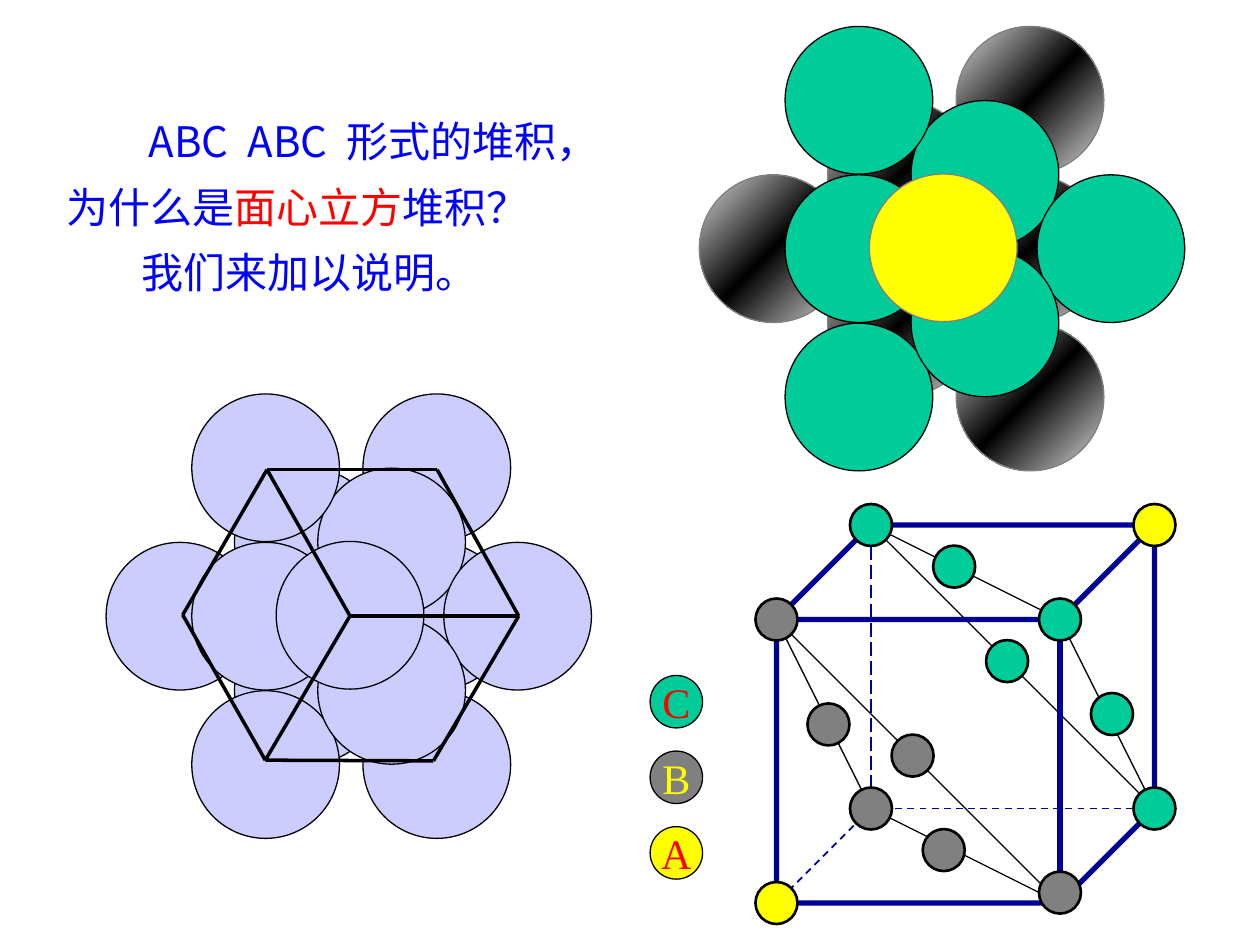
from copy import deepcopy

from pptx import Presentation
from pptx.dml.color import RGBColor
from pptx.enum.dml import MSO_LINE as Dash
from pptx.enum.shapes import MSO_CONNECTOR as Link, MSO_SHAPE as Form
from pptx.enum.text import MSO_ANCHOR as Anchor, PP_ALIGN as Align
from pptx.oxml.ns import qn
from pptx.util import Pt
from lxml.etree import SubElement

# Content
GREEN, YELLOW, GREY, LILAC = "00CC99", "FFFF00", "808080", "CCCCFF"
BLACK, RED, BLUE, NAVY = "000000", "FF0000", "0000FF", "000099"
STRIPE = ("E0E0E0", BLACK, "E0E0E0")
CJK, SERIF = "Noto Sans CJK SC", "Times New Roman"

question = [  # first-line indent, runs
    (47, [("ABC  ABC  形式的堆积，为什么是", BLUE), ("面心立方", RED), ("堆积？", BLUE)]),
    (43, [("我们来加以说明。", BLUE)]),
]
legend = [("C", GREEN, RED), ("B", GREY, YELLOW), ("A", YELLOW, RED)]

# Packed layers as (column, row) on a triangular grid
back_layer = [(1, 3), (1, 1), (2, 2), (2, 4), (2, 0), (0, 2)]
front_layer = [(1, 1), (0, 4), (0, 2), (2, 2), (1, 3), (0, 0)]

# Cube outline over the lower packing, in points
outline = {
    "top left": (152.6, 268.4), "top right": (249.8, 268.4),
    "left": (104.4, 351.4), "centre": (200, 352), "right": (296.4, 352),
    "bottom left": (151.6, 434.4), "bottom right": (247.7, 434.8),
}
outline_edges = [
    ("top left", "left"), ("top right", "right"), ("left", "bottom left"),
    ("right", "bottom right"), ("bottom left", "bottom right"),
    ("top left", "centre"), ("centre", "bottom left"),
    ("top left", "top right"), ("centre", "right"),
]

# Unit cell, in quarters of the cube's size
c_plane = [(4, 3), (1, 0), (3, 1)]
b_plane = [(0, 1), (3, 4), (1, 3)]
hidden_edges = [((1, 0), Dash.LONG_DASH), ((0, 4), Dash.DASH), ((4, 3), Dash.DASH)]
hidden_corner = (1, 3)
atoms = [
    (GREY, [(0, 1), (0.55, 2.11), (1, 3), (1.77, 3.44), (3, 3.89), (1.44, 2.44)]),
    (GREEN, [(1, 0), (1.88, 0.44), (3.55, 2), (4, 3), (2.44, 1.44), (3, 1)]),
    (YELLOW, [(0, 4), (4, 0)]),
]

# Sizes and places
SPHERE, ROW, BACK_COLUMN, FRONT_COLUMN = 84.4, 42.4, 73.4, 72
BACK_AT, FRONT_AT = (399.6, 15.1), (448.6, 15.1)
BOTTOM_AT, TOP_AT = (498.2, 100), (496.8, 99.4)
LOWER_SHIFT = (-339, 210)
CELL_X, CELL_Y, QUARTER, ATOM = 443.7, 300, 54, 24
LEGEND_X, LEGEND_Y, LEGEND_STEP, LEGEND_SIZE = 371.5, 386, 43.2, 30


def rgb(code):
    return RGBColor.from_string(code)


def outlined(shape, color, width):
    shape.shadow.inherit = False
    shape.line.color.rgb = rgb(color)
    shape.line.width = Pt(width)


def circle(holder, x, y, size, fill, line=BLACK, width=0.75):
    disc = holder.add_shape(Form.OVAL, Pt(x), Pt(y), Pt(size), Pt(size))
    outlined(disc, line, width)
    if isinstance(fill, tuple):
        disc.fill.gradient()
        disc.fill.gradient_angle = 315
        stop_list = disc.fill._fill._gradFill.gsLst
        stop_list.insert(1, deepcopy(stop_list[0]))
        for place, (stop, color) in enumerate(zip(disc.fill.gradient_stops, fill)):
            stop.position = place / 2
            stop.color.rgb = rgb(color)
    else:
        disc.fill.solid()
        disc.fill.fore_color.rgb = rgb(fill)
    return disc


def segment(holder, start, end, color, width, dash=None):
    edge = holder.add_connector(Link.STRAIGHT, *(Pt(v) for v in (*start, *end)))
    edge.line.color.rgb = rgb(color)
    edge.line.width = Pt(width)
    if dash:
        edge.line.dash_style = dash
    SubElement(edge._element.spPr, qn("a:effectLst"))


def layer(holder, places, at, column_step, fill, line=BLACK):
    for column, row in places:
        circle(holder, at[0] + column * column_step, at[1] + row * ROW, SPHERE, fill, line)


def shifted(at):
    return at[0] + LOWER_SHIFT[0], at[1] + LOWER_SHIFT[1]


def cell_point(place):
    return CELL_X + place[0] * QUARTER, CELL_Y + place[1] * QUARTER


def plane(holder, corners):
    for start, end in zip(corners, corners[1:] + corners[:1]):
        segment(holder, cell_point(start), cell_point(end), BLACK, 0.75)


deck = Presentation()
deck.slide_width, deck.slide_height = Pt(720), Pt(540)
slide = deck.slides.add_slide(deck.slide_layouts[6])
shapes = slide.shapes

# Coloured packing
circle(shapes, *BOTTOM_AT, SPHERE, YELLOW, GREY)
layer(shapes, back_layer, BACK_AT, BACK_COLUMN, STRIPE, GREY)
layer(shapes.add_group_shape().shapes, front_layer, FRONT_AT, FRONT_COLUMN, GREEN)
circle(shapes, *TOP_AT, SPHERE, YELLOW, GREY)

# Plain packing with the cube outline
packing = shapes.add_group_shape().shapes
circle(packing, *shifted(BOTTOM_AT), SPHERE, LILAC)
layer(packing, back_layer, shifted(BACK_AT), BACK_COLUMN, LILAC)
layer(packing, front_layer, shifted(FRONT_AT), FRONT_COLUMN, LILAC)
circle(packing, *shifted(TOP_AT), SPHERE, LILAC)
for start, end in outline_edges:
    segment(packing, outline[start], outline[end], BLACK, 2)

# Unit cell
cell = shapes.add_group_shape().shapes
plane(cell, c_plane)
cube = cell.add_shape(Form.CUBE, Pt(CELL_X), Pt(CELL_Y), Pt(4 * QUARTER), Pt(4 * QUARTER))
cube.adjustments[0] = 0.25
cube.fill.background()
outlined(cube, NAVY, 3)
for corner, dash in hidden_edges:
    segment(cell, cell_point(hidden_corner), cell_point(corner), NAVY, 1, dash)
plane(cell, b_plane)

# Legend
for index, (letter, fill, color) in enumerate(legend):
    key = circle(cell, LEGEND_X, LEGEND_Y + index * LEGEND_STEP, LEGEND_SIZE, fill)
    frame = key.text_frame
    frame.word_wrap = False
    frame.vertical_anchor = Anchor.MIDDLE
    label = frame.paragraphs[0]
    label.text = letter
    label.alignment = Align.CENTER
    label.font.name, label.font.size = SERIF, Pt(24)
    label.font.color.rgb = rgb(color)

# Atoms
for fill, places in atoms:
    for place in places:
        x, y = cell_point(place)
        circle(cell, x - ATOM / 2, y - ATOM / 2, ATOM, fill, width=1.5)

# Question
frame = shapes.add_textbox(Pt(31), Pt(54), Pt(340.6), Pt(119.5)).text_frame
frame.word_wrap = True
for index, (indent, runs) in enumerate(question):
    paragraph = frame.add_paragraph() if index else frame.paragraphs[0]
    paragraph.line_spacing = 1.3
    paragraph._p.get_or_add_pPr().set("indent", str(Pt(indent)))
    paragraph.font.size = Pt(24)
    for words, color in runs:
        run = paragraph.add_run()
        run.text = words
        run.font.name = CJK
        run.font.color.rgb = rgb(color)
        SubElement(run._r.rPr, qn("a:ea"), typeface=CJK)

deck.save("out.pptx")
